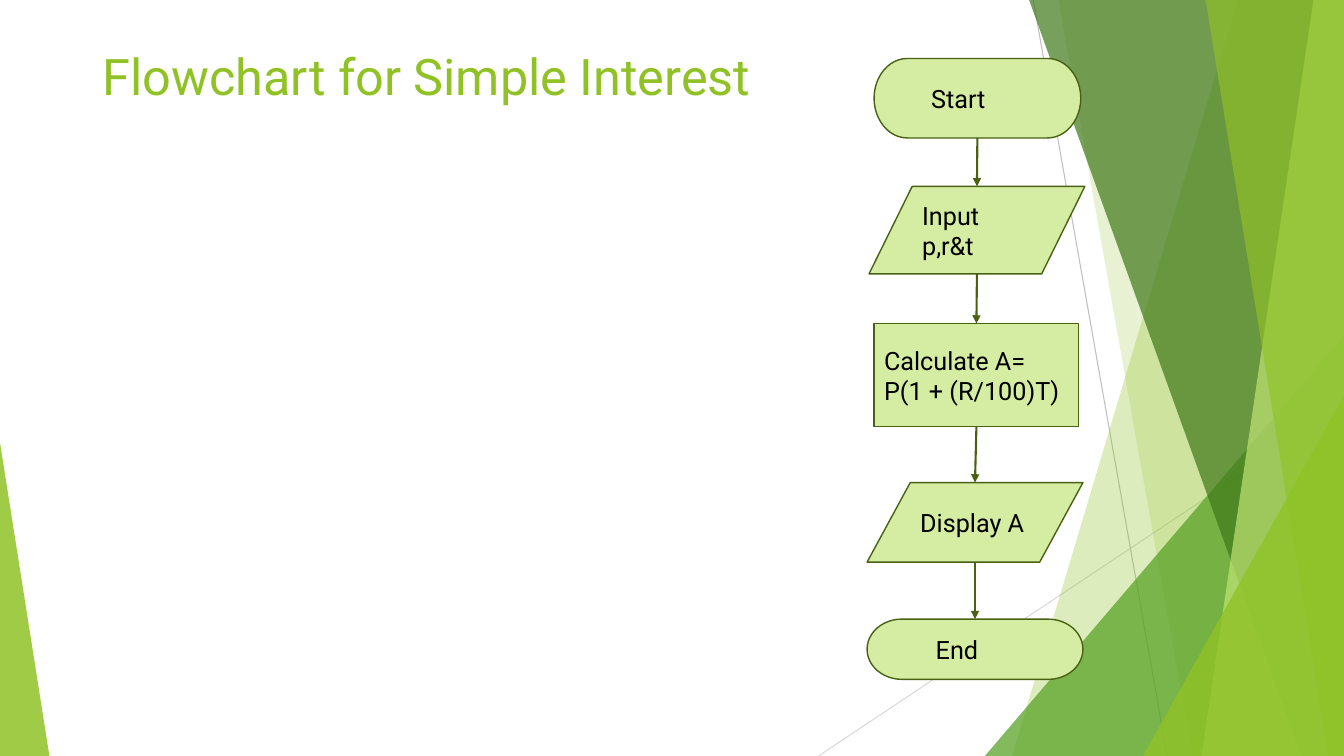
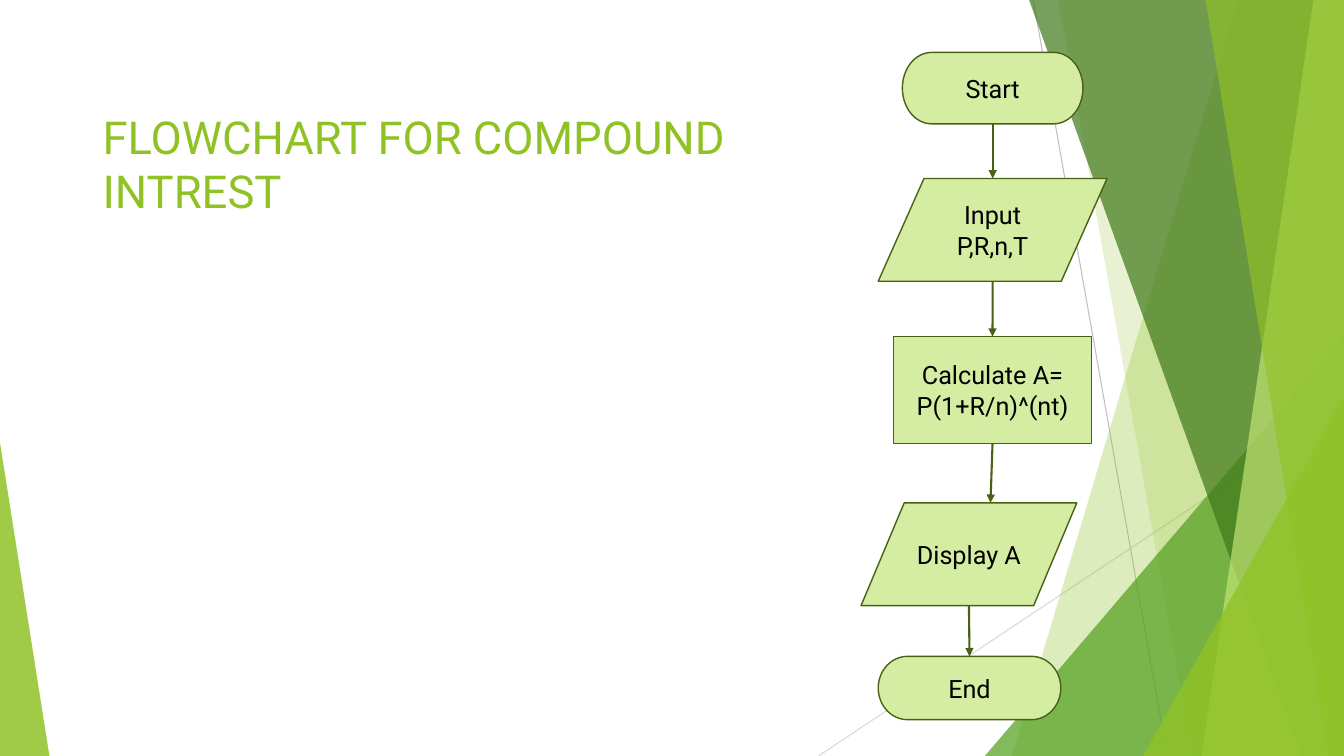
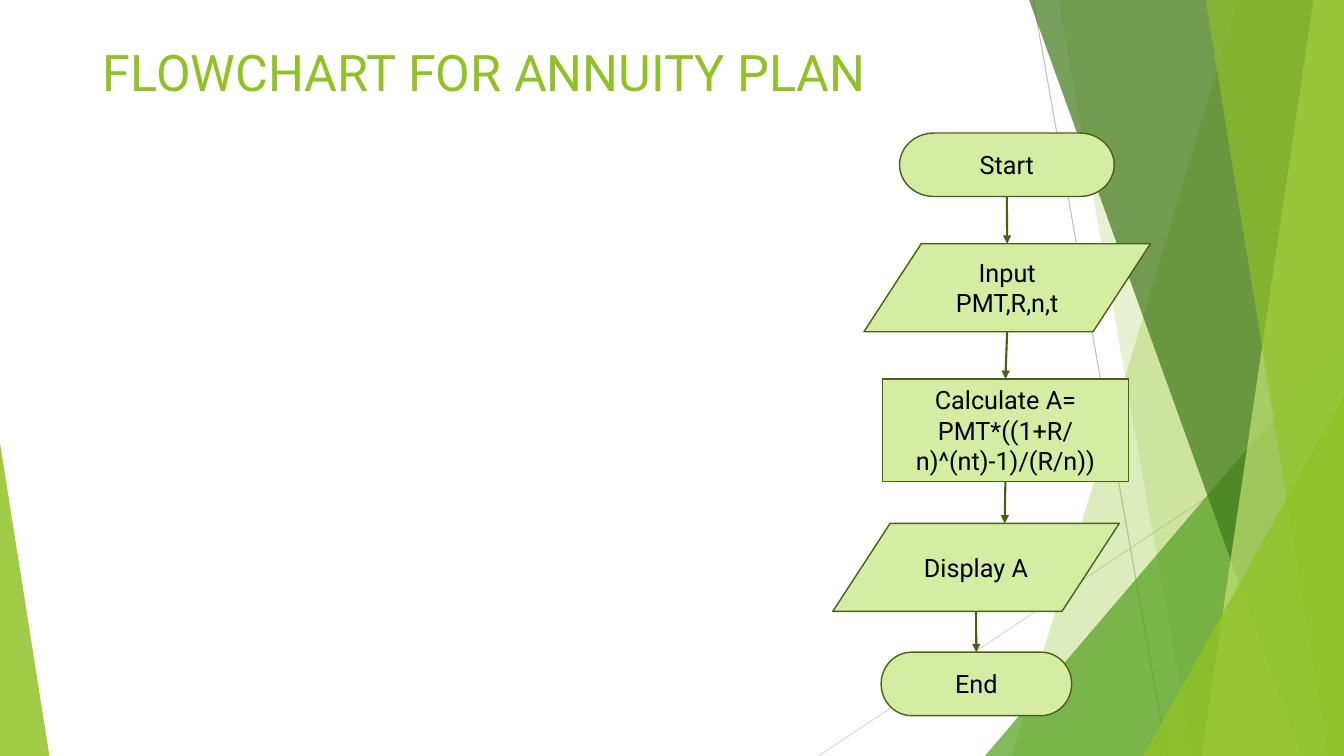
from lxml.etree import SubElement
from pptx import Presentation
from pptx.dml.color import RGBColor
from pptx.enum.shapes import MSO_CONNECTOR, MSO_SHAPE
from pptx.enum.text import MSO_ANCHOR, PP_ALIGN
from pptx.oxml.ns import qn
from pptx.util import Inches, Pt

SLIDE_BOX = (0, 0, Inches(13.33), Inches(7.5))
FONT = "Roboto"
COLORS = {
    "lime": "90C226",
    "green": "54A021",
    "forest": "3F7819",
    "pale lime": "C0E474",
    "node": "D5EDA2",
    "outline": "486113",
    "text": "000000",
    "grey": "BFBFBF",
    "light grey": "D9D9D9",
}

# Backdrop, in percent of the slide.
# Lines: start x, start y, end x, end y, color
BACKDROP_LINES = [
    (76.88, 0, 86.85, 100, "grey"),
    (100, 53.73, 60.9, 100, "light grey"),
]
# Bands reach the right edge: left x at the top, left x at the bottom
# Triangles: left, top, width, apex position (0 left, 1 right)
BACKDROP_PARTS = [
    ("band", (92.1, 75.3), "lime", 30),
    ("band", (78.75, 88.72), "lime", 20),
    ("triangle", (73.28, 44.4, 26.72, 1), "green", 72),
    ("band", (76.57, 96.82), "forest", 70),
    ("band", (97.73, 89.4), "pale lime", 70),
    ("band", (89.7, 98.85), "lime", 65),
    ("triangle", (85.05, 52.4, 14.95, 1), "lime", 80),
    ("triangle", (0, 58.53, 3.68, 0), "lime", 85),
]

# The steps every flowchart goes through, from top to bottom
STEP_SHAPES = [
    MSO_SHAPE.FLOWCHART_TERMINATOR,
    MSO_SHAPE.FLOWCHART_DATA,
    MSO_SHAPE.FLOWCHART_PROCESS,
    MSO_SHAPE.FLOWCHART_DATA,
    MSO_SHAPE.FLOWCHART_TERMINATOR,
]
DISPLAY_STEP = 3

# Title and chart boxes in inches; steps in percent of the chart box
SLIDES = [
    {
        "title": "Flowchart for Simple Interest",
        "title_box": (0.92, 0.4, 7.44, 1.45),
        "title_size": 36,
        "chart_box": (8.6, 0.58, 2.16, 6.16),
        "steps": [
            ("Start", 3.2, 0, 94.9, 12.8),
            ("Input p,r&t", 0.9, 20.6, 99.1, 14.1),
            ("Calculate A=\nP(1 + (R/100)T)", 3.2, 42.7, 94, 16.6),
            ("Display A", 0, 68.3, 99.1, 12.8),
            ("End", 0, 90.3, 99.1, 9.7),
        ],
        "alignment": PP_ALIGN.JUSTIFY,
        "indents": {"Start": 0.37, "End": 0.48},
        "display_entry": 0.5,
    },
    {
        "title": "FLOWCHART FOR COMPOUND INTREST",
        "title_box": (0.92, 1.03, 7.61, 0.78),
        "title_size": 32.4,
        "chart_box": (8.54, 0.52, 2.44, 6.62),
        "steps": [
            ("Start", 16.8, 0, 73.4, 10.7),
            ("Input P,R,n,T", 7, 18.9, 93, 15.4),
            ("Calculate A=\nP(1+R/n)^(nt)", 13.1, 42.6, 80.7, 16),
            ("Display A", 0, 67.5, 87.7, 15.4),
            ("End", 7, 90.5, 74.2, 9.5),
        ],
        "alignment": PP_ALIGN.CENTER,
        "indents": {},
        "display_entry": 0.6,
    },
    {
        "title": "FLOWCHART FOR ANNUITY PLAN",
        "title_box": (0.92, 0.36, 11.5, 1.45),
        "title_size": 36,
        "chart_box": (8.26, 1.32, 3.15, 5.78),
        "steps": [
            ("Start", 21, 0, 67.6, 10.9),
            ("Input PMT,R,n,t", 9.8, 19, 90.2, 15.1),
            ("Calculate A=\nPMT*((1+R/n)^(nt)-1)/(R/n))", 15.6, 42.2, 77.5, 17.6),
            ("Display A", 0, 67, 90.2, 15.1),
            ("End", 15.2, 89.1, 60, 10.9),
        ],
        "alignment": PP_ALIGN.CENTER,
        "indents": {},
        "display_entry": 0.6,
    },
]


def color(name):
    return RGBColor.from_string(COLORS[name])


def inches(values):
    return tuple(Inches(value) for value in values)


def point_in(box, x, y):
    """Turn percentages of a box into a position on the slide."""
    left, top, width, height = box
    return round(left + width * x / 100), round(top + height * y / 100)


def box_in(box, x, y, width, height):
    """Turn percentages of a box into a smaller box."""
    left, top = point_in(box, x, y)
    right, bottom = point_in(box, x + width, y + height)
    return left, top, right - left, bottom - top


def add_line(shapes, start, end, color_name, width, arrow=False):
    line = shapes.add_connector(MSO_CONNECTOR.STRAIGHT, *start, *end)
    line.line.color.rgb = color(color_name)
    line.line.width = Pt(width)
    if arrow:
        SubElement(line.line._get_or_add_ln(), qn("a:tailEnd"), type="triangle")
    SubElement(line._element.spPr, qn("a:effectLst"))


def fill_translucent(shape, color_name, opacity):
    shape.shadow.inherit = False
    shape.line.fill.background()
    shape.fill.solid()
    shape.fill.fore_color.rgb = color(color_name)
    color_element = shape._element.spPr.find(qn("a:solidFill"))[0]
    SubElement(color_element, qn("a:alpha"), val=str(opacity * 1000))


def add_band(shapes, box, top_x, bottom_x):
    corners = [(top_x, 0), (100, 0), (100, 100), (bottom_x, 100)]
    first, *others = [point_in(box, *corner) for corner in corners]
    builder = shapes.build_freeform(*first)
    builder.add_line_segments(others, close=True)
    return builder.convert_to_shape()


def add_triangle(shapes, box, left, top, width, apex):
    triangle = shapes.add_shape(
        MSO_SHAPE.ISOSCELES_TRIANGLE, *box_in(box, left, top, width, 100 - top)
    )
    triangle.adjustments[0] = apex
    return triangle


def add_backdrop(slide, box):
    shapes = slide.shapes.add_group_shape().shapes
    for start_x, start_y, end_x, end_y, color_name in BACKDROP_LINES:
        start, end = point_in(box, start_x, start_y), point_in(box, end_x, end_y)
        add_line(shapes, start, end, color_name, 0.75)
    builders = {"band": add_band, "triangle": add_triangle}
    for kind, geometry, color_name, opacity in BACKDROP_PARTS:
        shape = builders[kind](shapes, box, *geometry)
        fill_translucent(shape, color_name, opacity)


def style_paragraph(paragraph, size, color_name, alignment):
    paragraph.alignment = alignment
    paragraph.font.name = FONT
    paragraph.font.size = Pt(size)
    paragraph.font.color.rgb = color(color_name)


def add_title(slide, box, text, size):
    frame = slide.shapes.add_textbox(*box).text_frame
    frame.word_wrap = True
    frame.text = text
    style_paragraph(frame.paragraphs[0], size, "lime", PP_ALIGN.LEFT)


def add_step(slide, box, step_shape, text, alignment, indent):
    step = slide.shapes.add_shape(step_shape, *box)
    step.shadow.inherit = False
    step.fill.solid()
    step.fill.fore_color.rgb = color("node")
    step.line.color.rgb = color("outline")
    step.line.width = Pt(1)
    frame = step.text_frame
    frame.word_wrap = True
    frame.vertical_anchor = MSO_ANCHOR.MIDDLE
    frame.margin_left = Inches(0.1 + indent)
    frame.text = text
    for paragraph in frame.paragraphs:
        style_paragraph(paragraph, 18, "text", alignment)
    return step


def add_flowchart(slide, box, steps, alignment, indents, display_entry):
    nodes = [
        add_step(slide, box_in(box, *place), step_shape, text,
                 alignment, indents.get(text, 0))
        for step_shape, (text, *place) in zip(STEP_SHAPES, steps)
    ]
    # Arrows run from the bottom of each step to the top of the next
    for index, (upper, lower) in enumerate(zip(nodes, nodes[1:]), start=1):
        entry = display_entry if index == DISPLAY_STEP else 0.5
        start = (upper.left + upper.width // 2, upper.top + upper.height)
        end = (lower.left + round(lower.width * entry), lower.top)
        add_line(slide.shapes, start, end, "outline", 1.5, arrow=True)


def add_flowchart_slide(presentation, content):
    slide = presentation.slides.add_slide(presentation.slide_layouts[6])
    add_backdrop(slide, SLIDE_BOX)
    add_title(slide, inches(content["title_box"]), content["title"],
              content["title_size"])
    add_flowchart(slide, inches(content["chart_box"]), content["steps"],
                  content["alignment"], content["indents"],
                  content["display_entry"])


def main():
    presentation = Presentation()
    presentation.slide_width, presentation.slide_height = SLIDE_BOX[2:]
    for content in SLIDES:
        add_flowchart_slide(presentation, content)
    presentation.save("out.pptx")


if __name__ == "__main__":
    main()
